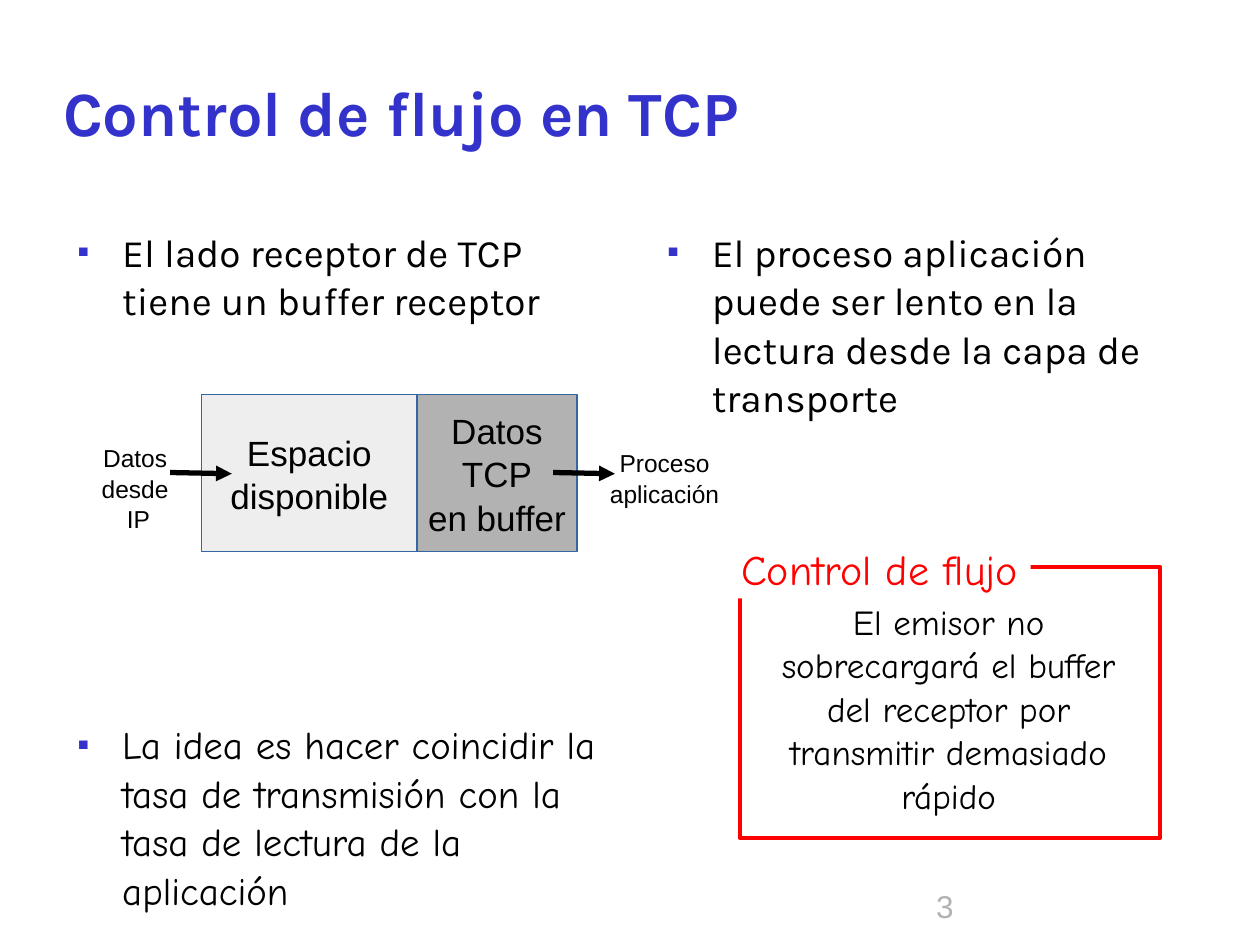
from dataclasses import dataclass

from lxml import etree
from pptx import Presentation
from pptx.dml.color import RGBColor
from pptx.enum.shapes import MSO_CONNECTOR, MSO_SHAPE
from pptx.enum.text import MSO_ANCHOR, MSO_AUTO_SIZE, PP_ALIGN
from pptx.oxml.ns import qn
from pptx.util import Inches, Pt

LEFT, CENTER = PP_ALIGN.LEFT, PP_ALIGN.CENTER
TOP, MIDDLE = MSO_ANCHOR.TOP, MSO_ANCHOR.MIDDLE
RECTANGLE, STRAIGHT = MSO_SHAPE.RECTANGLE, MSO_CONNECTOR.STRAIGHT


@dataclass(frozen=True)
class Theme:
    accent: str = "3333CC"
    text: str = "000000"
    alert: str = "FF0000"
    paper: str = "FFFFFF"
    free_space: str = "EEEEEE"
    used_space: str = "B2B2B2"
    buffer_edge: str = "3465A4"
    muted: str = "B2B2B2"
    heading_font: str = "Karla"
    casual_font: str = "Comic Neue"
    plain_font: str = "Arial"
    title_size: float = 36
    bullet_size: float = 22.2
    callout_size: float = 24
    body_size: float = 20
    number_size: float = 18
    label_size: float = 14
    line_spacing: float = 1.04


class SlideBuilder:
    def __init__(self, slide, theme):
        self.slide = slide
        self.theme = theme

    def place(self, shape, box):
        shape.left, shape.top, shape.width, shape.height = map(Inches, box)

    def style(self, paragraph, font, size, color, align=LEFT, bold=False):
        paragraph.alignment = align
        paragraph.line_spacing = self.theme.line_spacing
        paragraph.space_before = Pt(0)
        paragraph.font.name = font
        paragraph.font.size = Pt(size)
        paragraph.font.bold = bold
        paragraph.font.color.rgb = RGBColor.from_string(color)

    def fill_text(self, shape, text, font, size, color, anchor=TOP, wrap=True):
        """Fill a shape with centred text, one paragraph per newline."""
        frame = shape.text_frame
        frame.text = text
        frame.word_wrap = wrap
        frame.vertical_anchor = anchor
        for paragraph in frame.paragraphs:
            self.style(paragraph, font, size, color, CENTER)

    def title(self, text, box):
        title = self.slide.shapes.title
        self.place(title, box)
        frame = title.text_frame
        frame.text = text
        frame.auto_size = MSO_AUTO_SIZE.NONE
        frame.vertical_anchor = MIDDLE
        self.style(frame.paragraphs[0], self.theme.heading_font,
                   self.theme.title_size, self.theme.accent, bold=True)

    def bullets(self, index, box, items):
        """Fill a body placeholder with (text, font, points before) items."""
        body = self.slide.placeholders[index]
        self.place(body, box)
        frame = body.text_frame
        frame.text = "\n".join(text for text, _, _ in items)
        frame.auto_size = MSO_AUTO_SIZE.NONE
        for paragraph, (_, font, gap) in zip(frame.paragraphs, items):
            self.add_bullet(paragraph)
            self.style(paragraph, font, self.theme.bullet_size, self.theme.text)
            paragraph.space_before = Pt(gap)

    def add_bullet(self, paragraph):
        properties = paragraph._p.get_or_add_pPr()
        properties.set("marL", str(Inches(0.47)))
        properties.set("indent", str(Inches(-0.35)))
        color = etree.SubElement(properties, qn("a:buClr"))
        etree.SubElement(color, qn("a:srgbClr"), val=self.theme.accent)
        etree.SubElement(properties, qn("a:buSzPct"), val="45000")
        etree.SubElement(properties, qn("a:buChar"), char="■")

    def rectangle(self, box, fill, edge=None, width=0):
        shape = self.slide.shapes.add_shape(RECTANGLE, *map(Inches, box))
        shape.shadow.inherit = False
        shape.fill.solid()
        shape.fill.fore_color.rgb = RGBColor.from_string(fill)
        if edge:
            shape.line.color.rgb = RGBColor.from_string(edge)
            shape.line.width = Pt(width)
        else:
            shape.line.fill.background()
        return shape

    def text(self, text, box, font, size, color):
        shape = self.slide.shapes.add_textbox(*map(Inches, box))
        self.fill_text(shape, text, font, size, color)

    def arrow(self, start, end):
        connector = self.slide.shapes.add_connector(
            STRAIGHT, *map(Inches, start + end))
        connector.line.color.rgb = RGBColor.from_string(self.theme.text)
        connector.line.width = Pt(3)
        properties = connector._element.spPr
        etree.SubElement(properties.find(qn("a:ln")), qn("a:tailEnd"),
                         type="triangle")
        etree.SubElement(properties, qn("a:effectLst"))


def main():
    theme = Theme()
    deck = Presentation()
    deck.slide_width, deck.slide_height = Inches(10), Inches(7.5)
    two_content = deck.slide_layouts[3]
    page = SlideBuilder(deck.slides.add_slide(two_content), theme)

    page.title("Control de flujo en TCP", (0.4, 0.25, 9.14, 1.25))
    page.bullets(1, (0.4, 1.75, 4.46, 5.23), [
        ("El lado receptor de TCP tiene un buffer receptor",
         theme.heading_font, 0),
        ("La idea es hacer coincidir la tasa de transmisión con la tasa "
         "de lectura de la aplicación", theme.casual_font, 226),
    ])
    page.bullets(2, (5.08, 1.75, 4.46, 5.23), [
        ("El proceso aplicación puede ser lento en la lectura desde la capa "
         "de transporte", theme.heading_font, 0),
    ])

    # Flow control definition
    page.rectangle((5.87, 4.5, 3.34, 2.15), theme.paper, theme.alert, 2.25)
    page.text("El emisor no sobrecargará el buffer del receptor por "
              "transmitir demasiado rápido", (5.96, 4.7, 3.14, 1.77),
              theme.casual_font, theme.body_size, theme.text)
    heading = page.rectangle((5.78, 4.25, 2.4, 0.5), theme.paper)
    page.fill_text(heading, "Control de flujo", theme.casual_font,
                   theme.callout_size, theme.alert, wrap=False)

    # Receive buffer
    buffer_left, buffer_top, buffer_height = 1.6, 3.13, 1.25
    for text, width, fill in [
        ("Espacio\ndisponible", 1.71, theme.free_space),
        ("Datos\nTCP\nen buffer", 1.27, theme.used_space),
    ]:
        part = page.rectangle((buffer_left, buffer_top, width, buffer_height),
                              fill, theme.buffer_edge)
        page.fill_text(part, text, theme.plain_font, theme.body_size,
                       theme.text, MIDDLE, wrap=False)
        buffer_left += width

    for arrow_left in (4.39, 1.35):
        page.arrow((arrow_left, 3.75), (arrow_left + 0.49, 3.76))

    for text, box in [
        ("Datos \vdesde \vIP", (0.58, 3.46, 1.04, 0.8)),
        ("Proceso aplicación", (4.66, 3.5, 1.23, 0.63)),
    ]:
        page.text(text, box, theme.plain_font, theme.label_size, theme.text)

    page.text("3", (5.47, 6.98, 4.06, 0.42), theme.plain_font,
              theme.number_size, theme.muted)

    deck.save("out.pptx")


if __name__ == "__main__":
    main()
